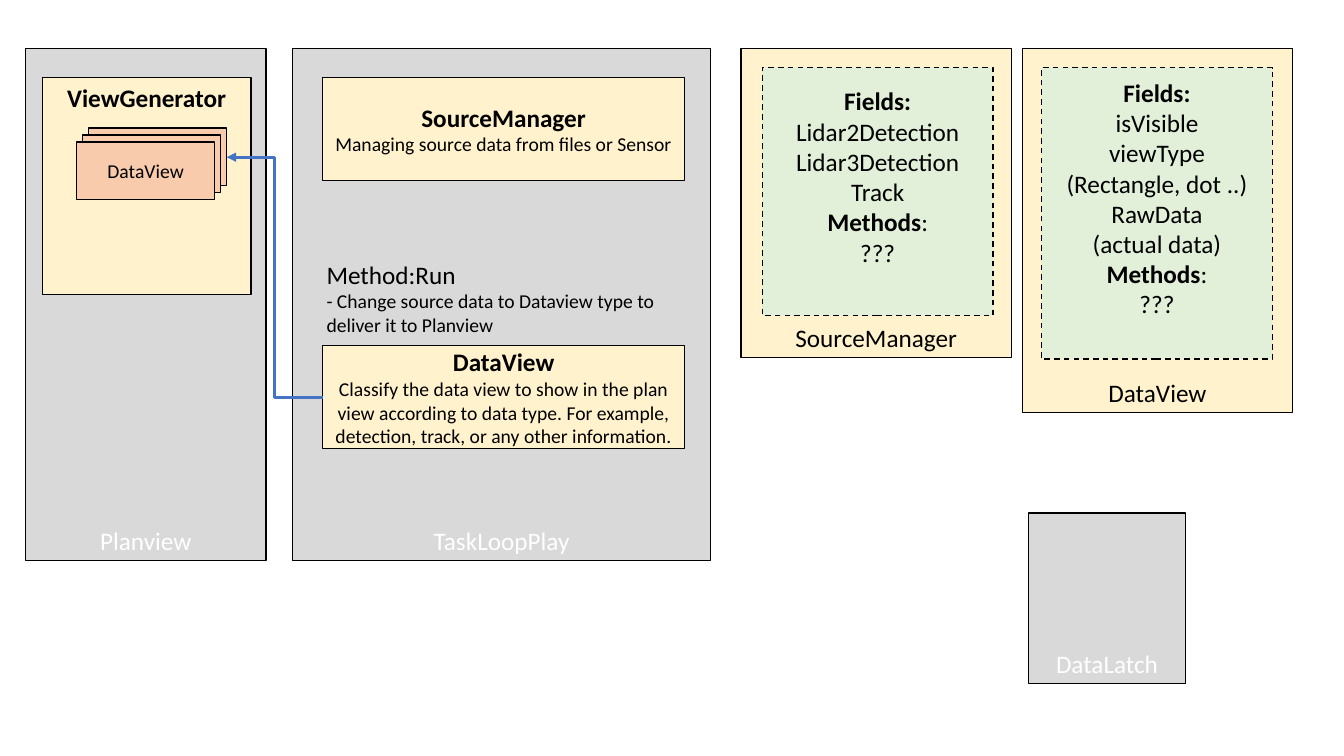
from dataclasses import dataclass

from lxml.etree import SubElement
from pptx import Presentation
from pptx.dml.color import RGBColor
from pptx.enum.dml import MSO_LINE
from pptx.enum.shapes import MSO_CONNECTOR, MSO_SHAPE
from pptx.enum.text import MSO_ANCHOR as Anchor, PP_ALIGN as Align
from pptx.oxml.ns import qn
from pptx.slide import Slide
from pptx.text.text import TextFrame
from pptx.util import Inches, Pt

BLACK = RGBColor(0x00, 0x00, 0x00)
WHITE = RGBColor(0xFF, 0xFF, 0xFF)
GRAY = RGBColor(0xD9, 0xD9, 0xD9)
CREAM = RGBColor(0xFF, 0xF2, 0xCC)
GREEN = RGBColor(0xE2, 0xF0, 0xD9)
SALMON = RGBColor(0xF8, 0xCB, 0xAD)
BLUE = RGBColor(0x44, 0x72, 0xC4)


@dataclass(frozen=True)
class Run:
    """A piece of text with its size and weight."""
    text: str
    size: int = 18
    bold: bool = False


Line = tuple[Run, ...]


@dataclass(frozen=True)
class Box:
    """A bordered rectangle, measured in inches, and its text."""
    left: float
    top: float
    width: float
    height: float
    fill: RGBColor
    lines: tuple[Line, ...] = ()
    color: RGBColor = BLACK
    anchor: Anchor = Anchor.MIDDLE
    dashed: bool = False
    bottom_inset: float = 0.05


def write_text(frame: TextFrame, lines: tuple[Line, ...], *, color: RGBColor = BLACK,
               align: Align = Align.CENTER, anchor: Anchor = Anchor.MIDDLE) -> None:
    """Fill a text frame with one paragraph per line."""
    frame.word_wrap = True
    frame.vertical_anchor = anchor
    for index, line in enumerate(lines):
        paragraph = frame.paragraphs[0] if index == 0 else frame.add_paragraph()
        paragraph.alignment = align
        for part in line:
            run = paragraph.add_run()
            run.text = part.text
            run.font.name = "Calibri"
            run.font.size = Pt(part.size)
            run.font.bold = part.bold
            run.font.color.rgb = color


def draw_box(slide: Slide, box: Box) -> None:
    """Draw a rectangle with a thin black border."""
    shape = slide.shapes.add_shape(MSO_SHAPE.RECTANGLE, Inches(box.left), Inches(box.top),
                                   Inches(box.width), Inches(box.height))
    shape.shadow.inherit = False
    shape.fill.solid()
    shape.fill.fore_color.rgb = box.fill
    shape.line.color.rgb = BLACK
    shape.line.width = Pt(1)
    if box.dashed:
        shape.line.dash_style = MSO_LINE.DASH
    shape.text_frame.margin_bottom = Inches(box.bottom_inset)
    write_text(shape.text_frame, box.lines, color=box.color, anchor=box.anchor)


def draw_elbow_arrow(slide: Slide, start: tuple[float, float], end: tuple[float, float]) -> None:
    """Draw a blue elbow connector with an arrowhead at its end."""
    arrow = slide.shapes.add_connector(MSO_CONNECTOR.ELBOW, *map(Inches, start + end))
    arrow.line.color.rgb = BLUE
    arrow.line.width = Pt(2.25)
    SubElement(arrow.line._get_or_add_ln(), qn("a:tailEnd"), type="triangle")
    SubElement(arrow._element.spPr, qn("a:effectLst"))


def container(left: float, top: float, width: float, height: float, name: str,
              fill: RGBColor = GRAY, color: RGBColor = WHITE) -> Box:
    """Describe a module box named along its bottom edge."""
    return Box(left, top, width, height, fill, ((Run(name),),), color, Anchor.BOTTOM)


def members(left: float, height: float, fields: tuple[str, ...]) -> Box:
    """Describe a dashed list of a class's fields and methods."""
    lines = ((Run("Fields:", bold=True),), *((Run(field),) for field in fields),
             (Run("Methods", bold=True), Run(":")), (Run("???"),))
    return Box(left, 0.67, 2.29, height, GREEN, lines, dashed=True, bottom_inset=0.35)


def component(top: float, name: str, role: str) -> Box:
    """Describe a task loop component with its role."""
    return Box(3.2, top, 3.59, 1.02, CREAM, ((Run(name, bold=True),), (Run(role, 14),)))


BOXES = (
    container(2.9, 0.48, 4.15, 5.08, "TaskLoopPlay"),
    container(7.35, 0.48, 2.68, 3.07, "SourceManager", CREAM, BLACK),
    container(10.2, 5.09, 1.56, 1.69, "DataLatch"),
    members(7.56, 2.46, ("Lidar2Detection", "Lidar3Detection", "Track")),
    component(0.77, "SourceManager", "Managing source data from files or Sensor"),
    container(10.14, 0.48, 2.68, 3.61, "DataView", CREAM, BLACK),
    members(10.33, 2.89,
            ("isVisible", "viewType", "(Rectangle, dot ..)", "RawData", "(actual data)")),
    component(3.43, "DataView",
              "Classify the data view to show in the plan view according to data type. "
              "For example, detection, track, or any other information."),
    container(0.25, 0.48, 2.39, 5.08, "Planview"),
    Box(0.42, 0.77, 2.07, 2.15, CREAM, ((Run("ViewGenerator", bold=True),),),
        anchor=Anchor.TOP),
    *(Box(0.88 - 0.06 * step, 1.27 + 0.07 * step, 1.37, 0.57, SALMON,
          ((Run("DataView", 14),),) if step == 2 else ()) for step in range(3)),
)

presentation = Presentation()
presentation.slide_width = Inches(13.33)
presentation.slide_height = Inches(7.5)
diagram = presentation.slides.add_slide(presentation.slide_layouts[6])

for module in BOXES:
    draw_box(diagram, module)
draw_elbow_arrow(diagram, (3.2, 3.94), (2.25, 1.56))

run_method = diagram.shapes.add_textbox(Inches(3.14), Inches(2.52), Inches(3.65), Inches(0.88))
write_text(run_method.text_frame,
           ((Run("Method:Run"),),
            (Run("- Change source data to Dataview type to deliver it to Planview", 14),)),
           align=Align.LEFT, anchor=Anchor.TOP)

presentation.save("out.pptx")
